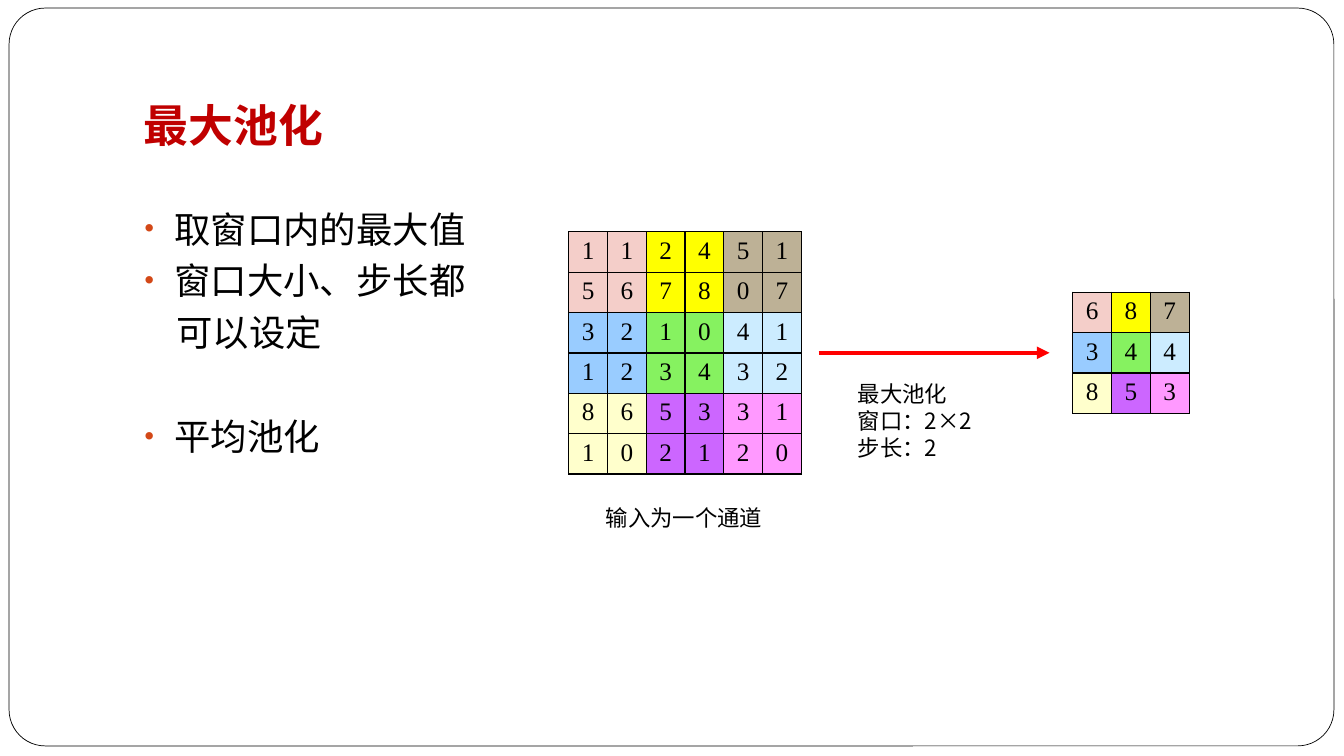
import pptx
import pptx.dml.color
import pptx.enum.shapes
import pptx.enum.text
import pptx.oxml
import pptx.oxml.ns
import pptx.util
from lxml import etree

Inches = pptx.util.Inches
Pt = pptx.util.Pt
RGBColor = pptx.dml.color.RGBColor
MSO_SHAPE = pptx.enum.shapes.MSO_SHAPE
MSO_ANCHOR = pptx.enum.text.MSO_ANCHOR
PP_ALIGN = pptx.enum.text.PP_ALIGN
qn = pptx.oxml.ns.qn

BLACK = RGBColor(0x00, 0x00, 0x00)
WHITE = RGBColor(0xFF, 0xFF, 0xFF)
TITLE_RED = RGBColor(0xC0, 0x00, 0x00)
ARROW_RED = RGBColor(0xFF, 0x00, 0x00)
BULLET_ORANGE = RGBColor(0xD3, 0x48, 0x17)
WINDOW_COLORS = [
    [RGBColor(0xF4, 0xCE, 0xC9), RGBColor(0xFF, 0xFF, 0x00), RGBColor(0xBD, 0xB1, 0x96)],
    [RGBColor(0x99, 0xCC, 0xFF), RGBColor(0x86, 0xF2, 0x60), RGBColor(0xCC, 0xEC, 0xFF)],
    [RGBColor(0xFF, 0xFF, 0xCC), RGBColor(0xCC, 0x66, 0xFF), RGBColor(0xFF, 0x99, 0xFF)],
]

SERIF = "Times New Roman"
SANS = "Noto Sans CJK SC"
LINE_RATIO = 1.2
CELL_WIDTH, CELL_HEIGHT = 0.385, 0.39
WINDOW = 2
CHANNEL = [
    [1, 1, 2, 4, 5, 1],
    [5, 6, 7, 8, 0, 7],
    [3, 2, 1, 0, 4, 1],
    [1, 2, 3, 4, 3, 2],
    [8, 6, 5, 3, 3, 1],
    [1, 0, 2, 1, 2, 0],
]


def max_pool(values, window):
    starts = range(0, len(values), window)
    return [[max(max(row[x:x + window]) for row in values[y:y + window])
             for x in starts] for y in starts]


def style_text(paragraph, size, latin, color=BLACK, bold=False):
    paragraph.line_spacing = Pt(size * LINE_RATIO)
    for run in paragraph.runs:
        run.font.size = Pt(size)
        run.font.name = latin
        run.font.bold = bold
        run.font.color.rgb = color
        east_asian = etree.SubElement(run.font._element, qn("a:ea"))
        east_asian.set("typeface", SANS)


def add_frame(slide, left, top, width, height):
    frame = slide.shapes.add_shape(MSO_SHAPE.ROUNDED_RECTANGLE, Inches(left),
                                   Inches(top), Inches(width), Inches(height))
    frame.adjustments[0] = 0.049
    frame.shadow.inherit = False
    frame.fill.solid()
    frame.fill.fore_color.rgb = WHITE
    frame.line.color.rgb = BLACK
    frame.line.width = Pt(0.5)


def add_title(slide, left, top, width, height):
    title = slide.shapes.add_textbox(Inches(left), Inches(top), Inches(width), Inches(height))
    title.text_frame.word_wrap = True
    title.text_frame.vertical_anchor = MSO_ANCHOR.BOTTOM
    title.text_frame.text = "最大池化"
    style_text(title.text_frame.paragraphs[0], 32, SERIF, TITLE_RED, True)


def add_bullet(properties):
    color = etree.SubElement(properties, qn("a:buClr"))
    etree.SubElement(color, qn("a:srgbClr")).set("val", str(BULLET_ORANGE))
    etree.SubElement(properties, qn("a:buSzPct")).set("val", "85000")
    etree.SubElement(properties, qn("a:buFont")).set("typeface", SERIF)
    etree.SubElement(properties, qn("a:buChar")).set("char", "•")


def add_points(slide, left, top, width, height):
    points = slide.shapes.add_textbox(Inches(left), Inches(top), Inches(width), Inches(height))
    frame = points.text_frame
    frame.word_wrap = True
    frame.margin_top = 0
    # Text, whether it has a bullet, space before in points
    lines = [("取窗口内的最大值", True, 0), ("窗口大小、步长都", True, 5.8),
             ("可以设定", False, 5.8), ("平均池化", True, 42.8)]
    frame.text = "\n".join(text for text, _, _ in lines)
    for paragraph, (_, bulleted, space) in zip(frame.paragraphs, lines):
        paragraph.space_before = Pt(space)
        style_text(paragraph, 26, SERIF)
        properties = paragraph._p.get_or_add_pPr()
        properties.set("marL", str(Inches(0.3 if bulleted else 0.32)))
        properties.set("indent", str(Inches(-0.3 if bulleted else 0)))
        if bulleted:
            add_bullet(properties)


def add_cell_borders(cell):
    properties = cell._tc.get_or_add_tcPr()
    for position, side in enumerate(("a:lnL", "a:lnR", "a:lnT", "a:lnB")):
        border = etree.Element(qn(side), w=str(Pt(1)))
        fill = etree.SubElement(border, qn("a:solidFill"))
        etree.SubElement(fill, qn("a:srgbClr")).set("val", str(BLACK))
        properties.insert(position, border)


def add_matrix(slide, left, top, values, window):
    """Draw a square matrix whose cells are coloured by pooling window."""
    count = len(values)
    table = slide.shapes.add_table(count, count, Inches(left), Inches(top),
                                   Inches(count * CELL_WIDTH),
                                   Inches(count * CELL_HEIGHT)).table
    table.first_row = table.horz_banding = False
    for index in range(count):
        table.columns[index].width = Inches(CELL_WIDTH)
        table.rows[index].height = Inches(CELL_HEIGHT)
    for y, row in enumerate(values):
        for x, value in enumerate(row):
            cell = table.cell(y, x)
            cell.fill.solid()
            cell.fill.fore_color.rgb = WINDOW_COLORS[y // window][x // window]
            add_cell_borders(cell)
            cell.text = str(value)
            paragraph = cell.text_frame.paragraphs[0]
            paragraph.alignment = PP_ALIGN.CENTER
            paragraph.font.size = Pt(18)
            paragraph.runs[0].font.size = Pt(18)
            paragraph.runs[0].font.name = SERIF
            paragraph.runs[0].font.color.rgb = BLACK


def add_label(slide, left, top, width, height, lines):
    label = slide.shapes.add_textbox(Inches(left), Inches(top), Inches(width), Inches(height))
    label.fill.solid()
    label.fill.fore_color.rgb = WHITE
    label.text_frame.word_wrap = True
    label.text_frame.text = "\n".join(lines)
    for paragraph in label.text_frame.paragraphs:
        style_text(paragraph, 16, SANS)


def add_arrow(slide, start, end, y):
    arrow = slide.shapes.add_connector(pptx.enum.shapes.MSO_CONNECTOR.STRAIGHT,
                                       Inches(start), Inches(y), Inches(end), Inches(y))
    arrow.line.color.rgb = ARROW_RED
    arrow.line.width = Pt(3)
    etree.SubElement(arrow.line._get_or_add_ln(), qn("a:tailEnd")).set("type", "triangle")
    etree.SubElement(arrow._element.spPr, qn("a:effectLst"))


def add_pooling_diagram(slide, left, top):
    add_matrix(slide, left, top, CHANNEL, WINDOW)
    add_matrix(slide, left + 5, top + 0.6, max_pool(CHANNEL, WINDOW), 1)
    add_label(slide, left + 0.27, top + 2.65, 1.77, 0.46, ["输入为一个通道"])
    add_arrow(slide, left + 2.48, left + 4.77, top + 1.2)
    add_label(slide, left + 2.77, top + 1.42, 1.77, 0.98,
              ["最大池化", "窗口：2×2", "步长：2"])


def main():
    presentation = pptx.Presentation()
    presentation.slide_width = Inches(13.33)
    presentation.slide_height = Inches(7.5)
    slide = presentation.slides.add_slide(presentation.slide_layouts[6])
    add_frame(slide, 0.09, 0.08, 13.14, 7.32)
    add_title(slide, 1.33, 0.3, 11.33, 1.25)
    add_pooling_diagram(slide, 5.64, 2.3)
    add_points(slide, 1.33, 2.05, 4, 2.6)
    presentation.save("out.pptx")


if __name__ == "__main__":
    main()
